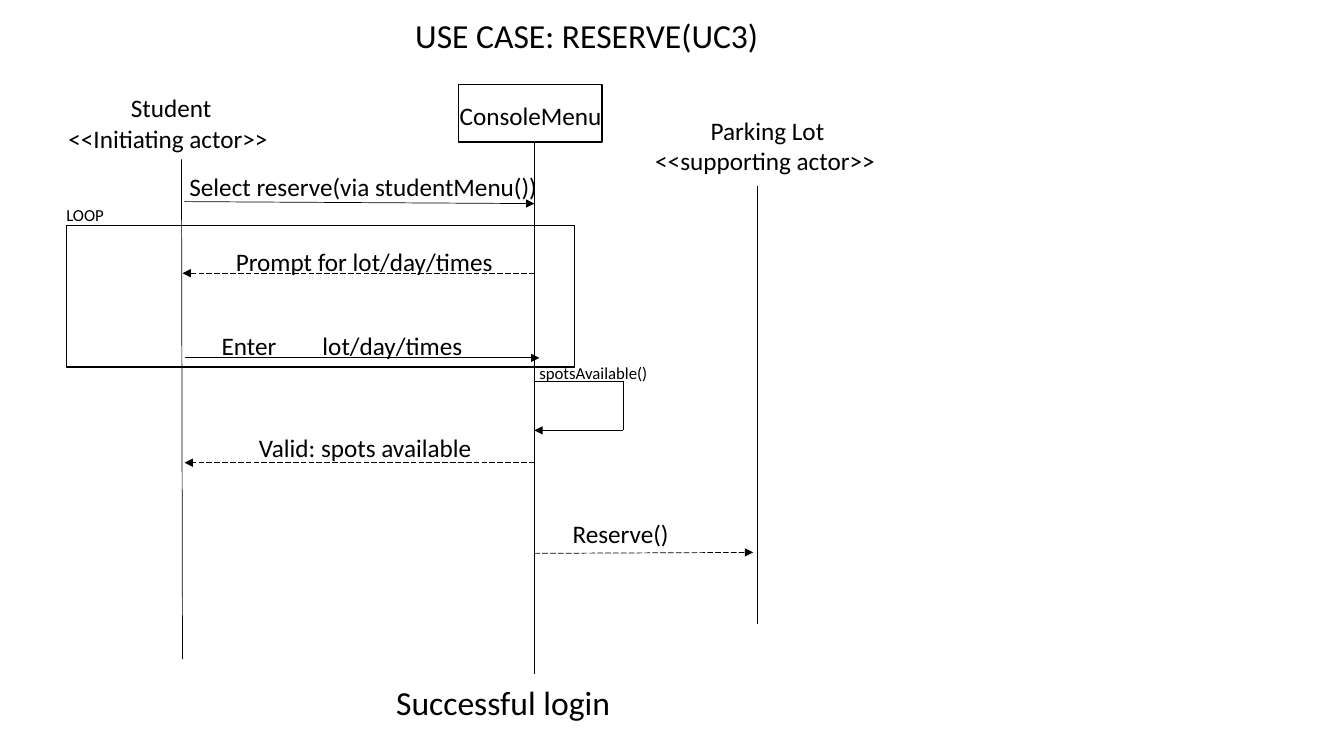
from lxml import etree
from pptx import Presentation
from pptx.dml.color import RGBColor
from pptx.enum.dml import MSO_LINE
from pptx.enum.shapes import MSO_CONNECTOR, MSO_SHAPE
from pptx.enum.text import MSO_AUTO_SIZE
from pptx.oxml.ns import qn
from pptx.util import Inches, Pt

BLACK = RGBColor(0x00, 0x00, 0x00)
STRAIGHT = MSO_CONNECTOR.STRAIGHT
RECTANGLE = MSO_SHAPE.RECTANGLE
LONG_DASH = MSO_LINE.LONG_DASH
GROW = MSO_AUTO_SIZE.SHAPE_TO_FIT_TEXT

STUDENT_X, CONSOLE_X, LOT_X, CALL_X = 1.81, 5.3, 7.51, 6.18


class SequenceDiagram:
    """Draws the parts of a sequence diagram on one slide."""

    def __init__(self, slide):
        self.shapes = slide.shapes
        self.font = {"name": "Calibri"}

    def label(self, left, top, width, height, lines, size=18, tab=None):
        box = self.shapes.add_textbox(*map(Inches, (left, top, width, height)))
        frame = box.text_frame
        for key, value in {"word_wrap": True, "auto_size": GROW}.items():
            setattr(frame, key, value)
        for index, (text, indent) in enumerate(lines):
            paragraph = frame.add_paragraph() if index else frame.paragraphs[0]
            run = paragraph.add_run()
            run.text = text
            for key, value in {**self.font, "size": Pt(size)}.items():
                setattr(run.font, key, value)
            run.font.color.rgb = BLACK
            properties = paragraph._p.get_or_add_pPr()
            properties.set("marL", str(Inches(indent)))
            properties.set("indent", "0")
            if tab:
                stops = etree.SubElement(properties, qn("a:tabLst"))
                etree.SubElement(stops, qn("a:tab"), pos=str(Inches(tab)), algn="l")

    def line(self, x1, y1, x2, y2, arrow=False, dashed=False):
        connector = self.shapes.add_connector(STRAIGHT, *map(Inches, (x1, y1, x2, y2)))
        connector.line.width = Pt(0.5)
        connector.line.color.rgb = BLACK
        if dashed:
            connector.line.dash_style = LONG_DASH
        if arrow:
            outline = connector.line._get_or_add_ln()
            etree.SubElement(outline, qn("a:tailEnd"), type="triangle")
        etree.SubElement(connector._element.spPr, qn("a:effectLst"))

    def frame(self, left, top, width, height):
        box = self.shapes.add_shape(RECTANGLE, *map(Inches, (left, top, width, height)))
        box.shadow.inherit = False
        box.fill.background()
        box.line.color.rgb = BLACK
        box.line.width = Pt(1)


def main():
    presentation = Presentation()
    presentation.slide_width = Inches(13.33)
    presentation.slide_height = Inches(7.5)
    diagram = SequenceDiagram(presentation.slides.add_slide(presentation.slide_layouts[6]))

    lifelines = [
        (1.8, 1.58, STUDENT_X, 6.54),
        (CONSOLE_X, 1.41, CONSOLE_X, 6.69),
        (LOT_X, 1.85, LOT_X, 6.19),
    ]
    for lifeline in lifelines:
        diagram.line(*lifeline)

    messages = [
        (1.83, 2, CONSOLE_X, 2.02, False),
        (CONSOLE_X, 2.71, STUDENT_X, 2.71, True),
        (1.83, 3.55, 5.35, 3.55, False),
        (CONSOLE_X, 4.59, 1.83, 4.59, True),
        (CONSOLE_X, 5.49, 7.47, 5.48, True),
    ]
    for *ends, dashed in messages:
        diagram.line(*ends, arrow=True, dashed=dashed)

    diagram.line(CONSOLE_X, 3.78, CALL_X, 3.78)
    diagram.line(CALL_X, 3.78, CALL_X, 4.27)
    diagram.line(CALL_X, 4.27, CONSOLE_X, 4.27, arrow=True)

    actors = [
        (0.58, 0.87, "Student", 0.62, "<<Initiating actor>>"),
        (6.4, 1.09, "Parking Lot", 0.55, "<<supporting actor>>"),
    ]
    for left, top, actor, indent, role in actors:
        diagram.label(left, top, 2.46, 0.71, [(actor, indent), (role, 0)])

    captions = [
        (1.78, 1.65, 3.91, "Select reserve(via studentMenu())", 0),
        (2.24, 2.39, 3.01, "Prompt for lot/day/times", 0),
        (2.47, 4.24, 2.38, "Valid: spots available", 0),
        (4.29, 0.95, 2.46, "ConsoleMenu", 0.17),
        (5.19, 5.09, 2.38, "Reserve()", 0.39),
    ]
    for left, top, width, text, indent in captions:
        diagram.label(left, top, width, 0.4, [(text, indent)])
    diagram.label(2.1, 3.23, 2.88, 0.4, [("Enter\tlot/day/times", 0)], tab=0.94)

    diagram.label(5.25, 3.55, 1.38, 0.3, [("spotsAvailable()", 0)], size=12)
    diagram.label(0.45, 1.98, 2.46, 0.3, [("LOOP", 0.11)], size=12)
    diagram.label(4.02, 0.1, 4.16, 0.5, [("USE CASE: RESERVE(UC3)", 0)], size=24)
    diagram.label(3.83, 6.72, 3.39, 0.5, [("Successful login", 0)], size=24)

    diagram.frame(4.55, 0.84, 1.42, 0.57)
    diagram.frame(0.66, 2.24, 5.04, 1.4)
    presentation.save("out.pptx")


if __name__ == "__main__":
    main()
